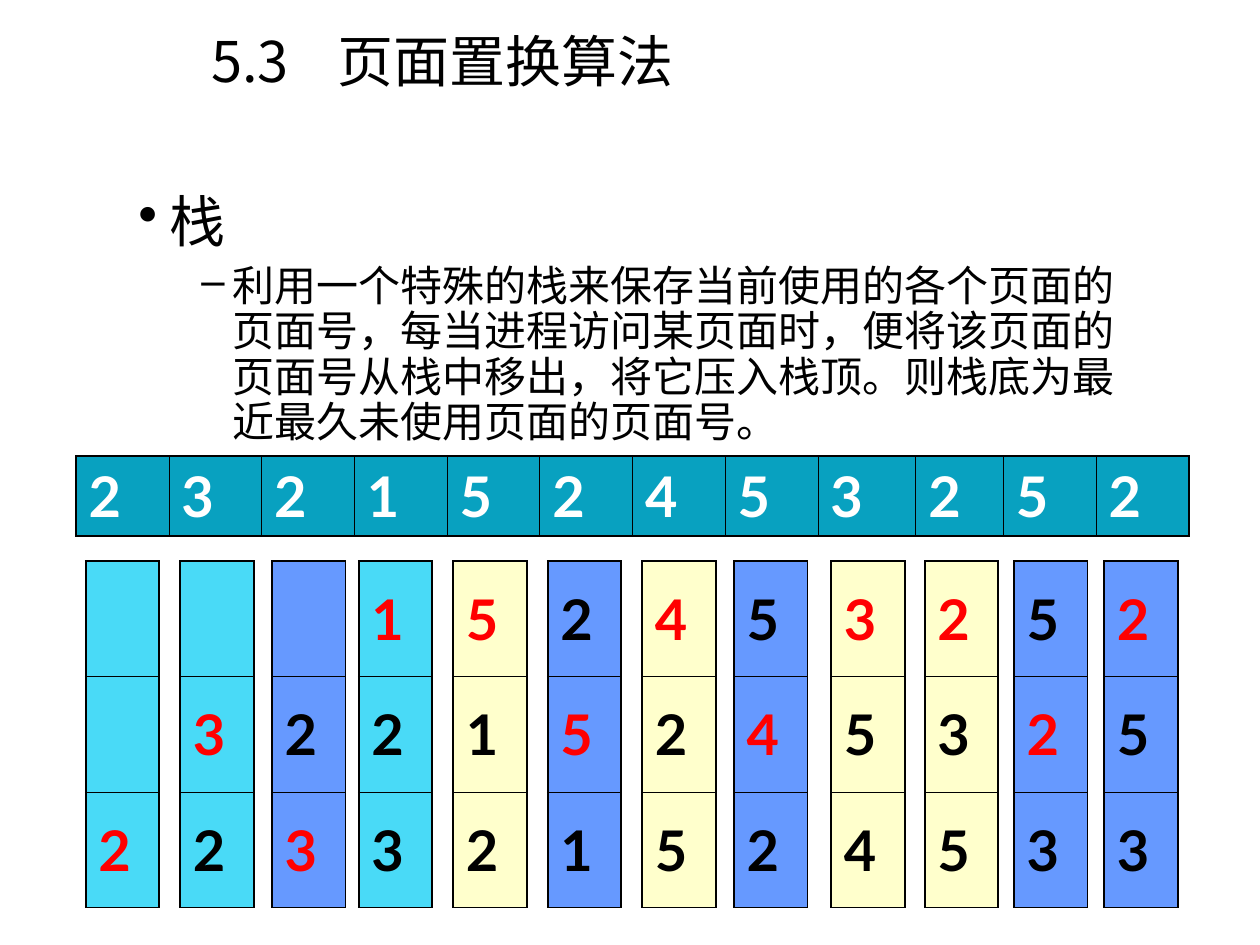
from lxml.etree import SubElement
from pptx import Presentation
from pptx.dml.color import RGBColor
from pptx.enum.text import MSO_ANCHOR, PP_ALIGN
from pptx.oxml.ns import qn
from pptx.util import Pt

BLACK = RGBColor(0x00, 0x00, 0x00)
WHITE = RGBColor(0xFF, 0xFF, 0xFF)
RED = RGBColor(0xFF, 0x00, 0x00)
TEAL = RGBColor(0x08, 0xA1, 0xC0)
CYAN = RGBColor(0x49, 0xDA, 0xF7)
CREAM = RGBColor(0xFF, 0xFF, 0xCC)
BLUE = RGBColor(0x66, 0x99, 0xFF)

OUTER_LINE = 1.08
INNER_LINE = 0.45

TITLE = "5.3\t页面置换算法"
BULLETS = [
    ("栈", 2, "•", 32, 90, 0),
    ("利用一个特殊的栈来保存当前使用的各个页面的页面号，每当进程访问某页面时，"
     "便将该页面的页面号从栈中移出，将它压入栈顶。则栈底为最近最久未使用页面的页面号。",
     3, "–", 24, 126, 6),
]
REFERENCES = "232152453252"
REFERENCE_WIDTHS = [53] * 8 + [56, 50, 53, 53]
STACKS = [
    (49, CYAN, ["", "", "2"], 2),
    (103, CYAN, ["", "3", "2"], 1),
    (155.5, BLUE, ["", "2", "3"], 2),
    (205, CYAN, ["1", "2", "3"], 0),
    (259, CREAM, ["5", "1", "2"], 0),
    (313, BLUE, ["2", "5", "1"], 1),
    (367, CREAM, ["4", "2", "5"], 0),
    (419.5, BLUE, ["5", "4", "2"], 1),
    (475, CREAM, ["3", "5", "4"], 0),
    (528.5, CREAM, ["2", "3", "5"], 0),
    (579.5, BLUE, ["5", "2", "3"], 1),
    (631, BLUE, ["2", "5", "3"], 0),
]


def add_run(paragraph, text, size, color, latin, east_asian=None, bold=False):
    """Add one formatted run to a paragraph."""
    run = paragraph.add_run()
    run.text = text
    run.font.size = Pt(size)
    run.font.bold = bold
    run.font.color.rgb = color
    run.font.name = latin
    if east_asian:
        SubElement(run.font._element, qn("a:ea"), typeface=east_asian)


def add_tabs(paragraph, inches):
    """Add left tab stops at whole inches."""
    tabs = SubElement(paragraph._p.get_or_add_pPr(), qn("a:tabLst"))
    for inch in inches:
        SubElement(tabs, qn("a:tab"), pos=str(Pt(72 * inch)), algn="l")


def add_text_frame(slide, left, top, width, height):
    """Add a wrapping text box and return its text frame."""
    shape = slide.shapes.add_textbox(Pt(left), Pt(top), Pt(width), Pt(height))
    shape.text_frame.word_wrap = True
    return shape.text_frame


def add_title(slide, left, top, width, height):
    """Place the centred section title in its box."""
    paragraph = add_text_frame(slide, left, top, width, height).paragraphs[0]
    paragraph.alignment = PP_ALIGN.CENTER
    add_tabs(paragraph, range(8))
    add_run(paragraph, TITLE, 32, BLACK, "Noto Sans CJK KR", "Noto Sans CJK KR")


def add_bullets(slide, left, top, width, height):
    """Place the bulleted explanation in its box."""
    frame = add_text_frame(slide, left, top, width, height)
    for index, (text, level, bullet, size, margin, before) in enumerate(BULLETS):
        paragraph = frame.add_paragraph() if index else frame.paragraphs[0]
        paragraph.level = level
        paragraph.line_spacing = 0.9
        paragraph.space_before = Pt(before)
        properties = paragraph._p.get_or_add_pPr()
        properties.set("marL", str(Pt(margin)))
        properties.set("indent", str(Pt(-18)))
        SubElement(properties, qn("a:buChar"), char=bullet)
        add_run(paragraph, text, size, BLACK, "Times New Roman", "Lato")


def set_border(cell, side, width):
    """Draw one black border of a cell."""
    line = SubElement(cell._tc.get_or_add_tcPr(), qn(f"a:ln{side}"), w=str(Pt(width)))
    fill = SubElement(line, qn("a:solidFill"))
    SubElement(fill, qn("a:srgbClr"), val=str(BLACK))


def add_grid(slide, left, top, widths, row_height, rows, fill, color_at):
    """Place a filled table with heavy outer and thin inner borders."""
    row_count, column_count = len(rows), len(widths)
    table = slide.shapes.add_table(
        row_count, column_count, Pt(left), Pt(top), Pt(sum(widths)), Pt(row_height * row_count)
    ).table
    table.first_row = False
    table.horz_banding = False
    for column, width in zip(table.columns, widths):
        column.width = Pt(width)
    for row_index, values in enumerate(rows):
        table.rows[row_index].height = Pt(row_height)
        for column_index, value in enumerate(values):
            cell = table.cell(row_index, column_index)
            cell.vertical_anchor = MSO_ANCHOR.MIDDLE
            edges = {
                "L": column_index == 0,
                "R": column_index == column_count - 1,
                "T": row_index == 0,
                "B": row_index == row_count - 1,
            }
            for side, is_outer in edges.items():
                set_border(cell, side, OUTER_LINE if is_outer else INNER_LINE)
            cell.fill.solid()
            cell.fill.fore_color.rgb = fill
            if value:
                paragraph = cell.text_frame.paragraphs[0]
                add_run(paragraph, value, 32, color_at(row_index), "Lato", bold=True)


def add_references(slide, left, top, height):
    """Place the row of page references."""
    add_grid(slide, left, top, REFERENCE_WIDTHS, height, [REFERENCES], TEAL, lambda row: WHITE)


def add_stacks(slide, top, width, height):
    """Place the stack after each reference, with one page marked red."""
    for left, fill, pages, marked in STACKS:
        rows = [[page] for page in pages]
        add_grid(slide, left, top, [width], height / len(rows), rows, fill,
                 lambda row: RED if row == marked else BLACK)


def main():
    """Build and save the presentation."""
    presentation = Presentation()
    presentation.slide_width = Pt(720)
    presentation.slide_height = Pt(540)
    slide = presentation.slides.add_slide(presentation.slide_layouts[6])
    add_bullets(slide, 0, 107.5, 648, 374)
    add_title(slide, 0, 11.5, 505.5, 89)
    add_references(slide, 43.5, 260.5, 45.5)
    add_stacks(slide, 320.5, 42, 198)
    presentation.save("out.pptx")


if __name__ == "__main__":
    main()
